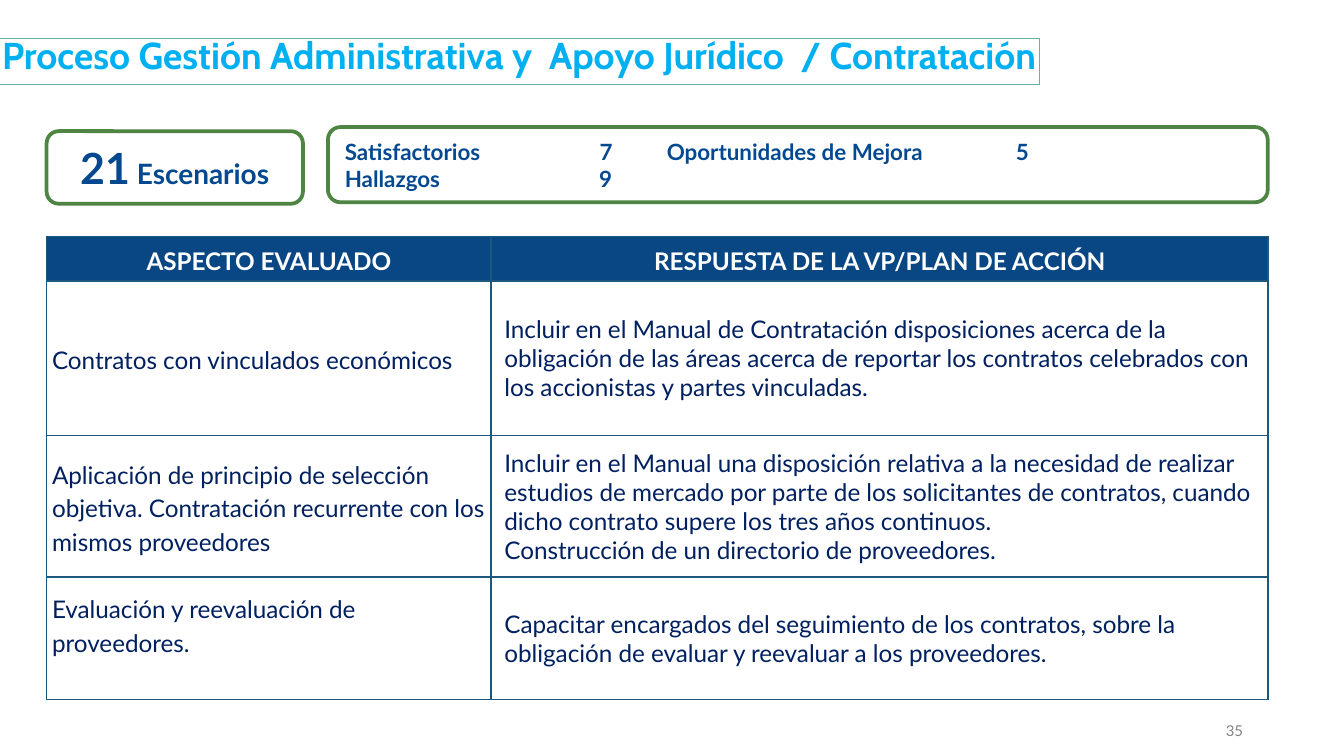
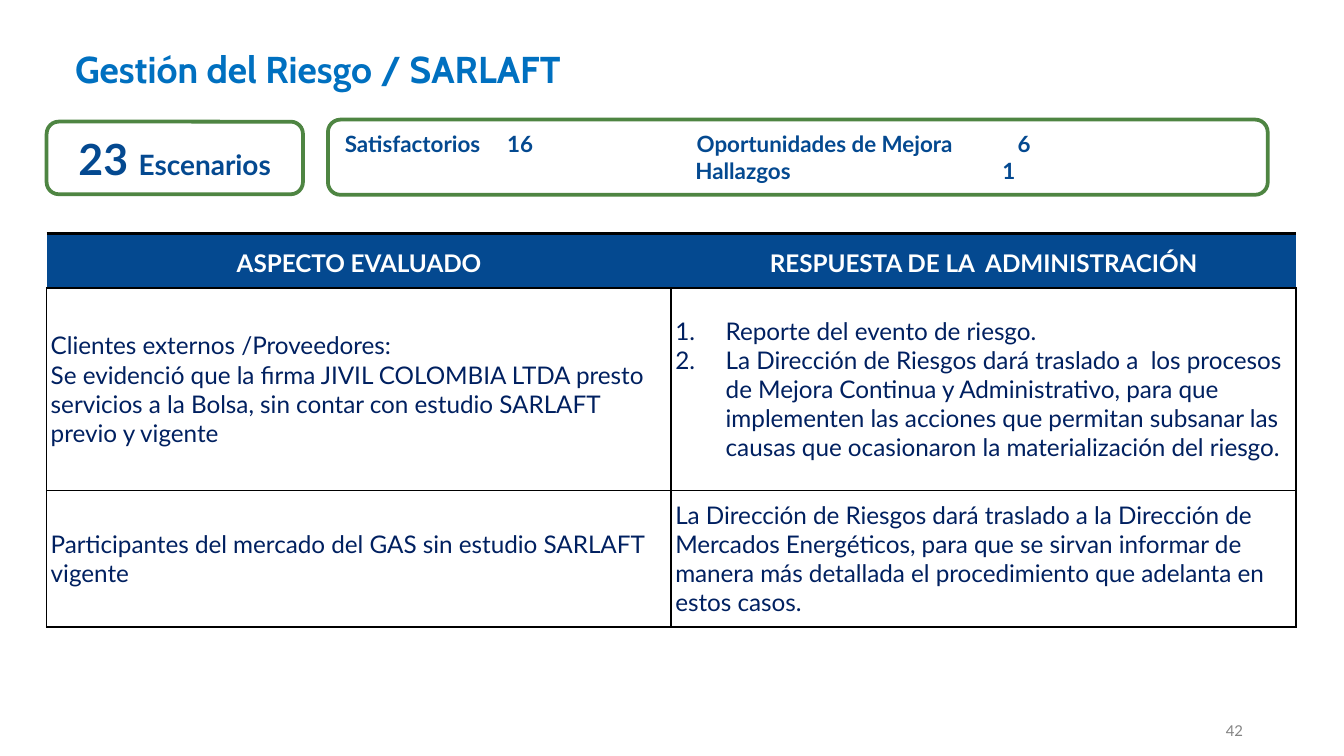
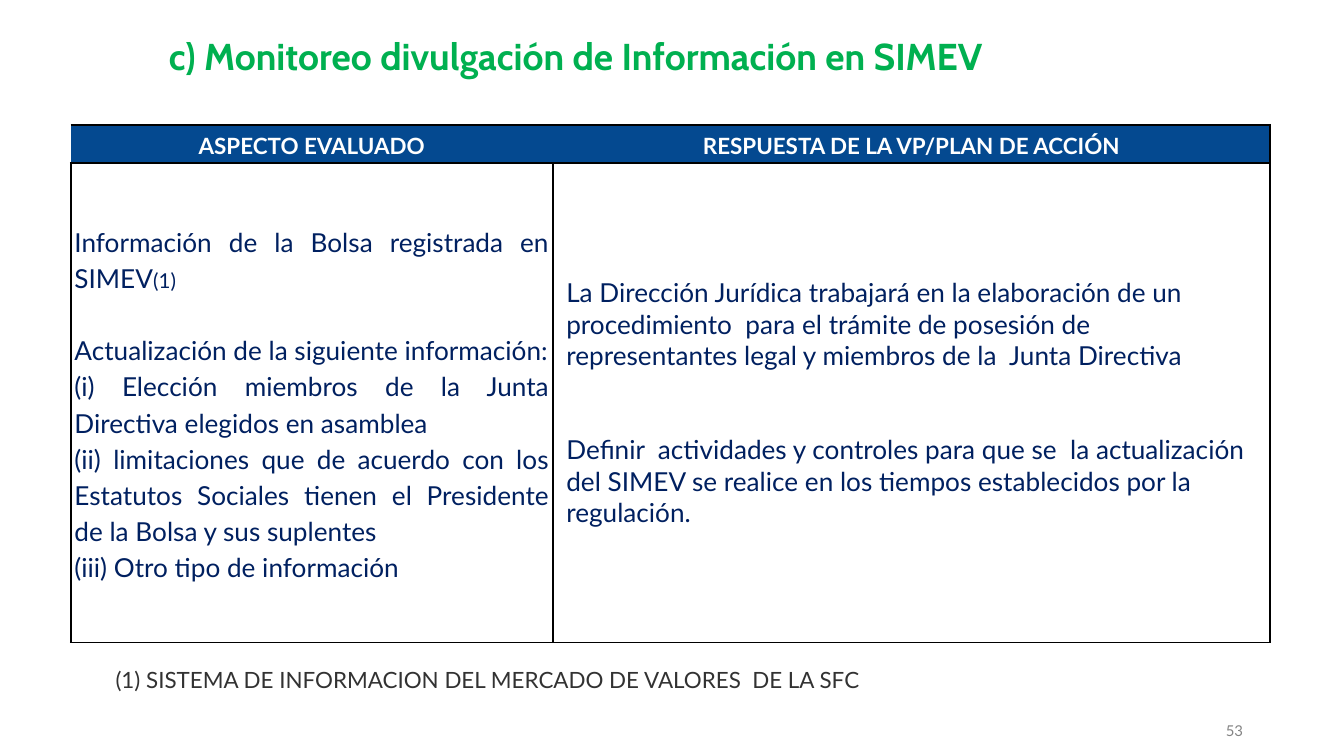
from lxml.etree import SubElement
from pptx import Presentation
from pptx.dml.color import RGBColor
from pptx.enum.shapes import MSO_SHAPE
from pptx.enum.text import MSO_ANCHOR, MSO_AUTO_SIZE, PP_ALIGN
from pptx.oxml.ns import qn
from pptx.util import Pt

NAVY, HEADER_BLUE, BODY_BLUE = "044990", "094784", "002060"
WHITE, BLACK, GREEN, TEAL = "FFFFFF", "000000", "4E8542", "1B587C"
TITLE_ONLY = 5
BADGE_LEFT, BADGE_WIDTH, BADGE_HEIGHT = 25, 137.3, 38.9
SUMMARY_LEFT, SUMMARY_WIDTH, SUMMARY_HEIGHT = 175.7, 503.5, 40.3
TIGHT = (2.2, 0.7)
SNUG = (2.9, 1.4)
ROOMY = (7.2, 3.6)
CENTERED = {"alignment": PP_ALIGN.CENTER}
LOOSE = {"line_spacing": 1.15}
HEADING = {**CENTERED, **LOOSE}


def color(value):
    return RGBColor.from_string(value)


def font(size, value, bold=False, name="Lato"):
    return {"name": name, "size": Pt(size), "bold": bold, "color": value}


def set_font(run, values):
    for key, value in values.items():
        if key == "color":
            run.font.color.rgb = color(value)
        else:
            setattr(run.font, key, value)


def set_margins(target, horizontal, top, bottom):
    margins = {"left": horizontal, "right": horizontal, "top": top, "bottom": bottom}
    for side, value in margins.items():
        setattr(target, f"margin_{side}", Pt(value))


def add_tabs(paragraph, stops):
    tab_list = SubElement(paragraph._p.get_or_add_pPr(), qn("a:tabLst"))
    for stop in stops:
        SubElement(tab_list, qn("a:tab"), pos=str(Pt(stop)), algn="l")


def add_number(paragraph):
    properties = paragraph._p.get_or_add_pPr()
    properties.set("marL", str(Pt(27)))
    properties.set("indent", str(Pt(-27)))
    SubElement(properties, qn("a:buAutoNum"), type="arabicPeriod")


def write(frame, paragraphs, base_font, layout=None, gaps=None, tabs=(), numbered=False):
    """Fill a frame; a paragraph is a string or a list of (text, size) runs.

    gaps maps a paragraph index to the space before it.
    """
    gaps = gaps or {}
    for index, content in enumerate(paragraphs):
        paragraph = frame.paragraphs[0] if index == 0 else frame.add_paragraph()
        if tabs:
            add_tabs(paragraph, tabs[index])
        if numbered:
            add_number(paragraph)
        values = {"space_before": Pt(gaps.get(index, 0)), **(layout or {})}
        for key, value in values.items():
            setattr(paragraph, key, value)
        runs = [(content, None)] if isinstance(content, str) else content
        for text, size in runs:
            run = paragraph.add_run()
            run.text = text
            set_font(run, {**base_font, "size": Pt(size)} if size else base_font)


def prepare_frame(shape, anchor=MSO_ANCHOR.TOP):
    frame = shape.text_frame
    values = {"word_wrap": True, "auto_size": MSO_AUTO_SIZE.NONE, "vertical_anchor": anchor}
    for key, value in values.items():
        setattr(frame, key, value)
    set_margins(frame, 0, 0, 0)
    return frame


def add_text(slide, box, text, base_font, layout, anchor=MSO_ANCHOR.TOP):
    shape = slide.shapes.add_textbox(*map(Pt, box))
    write(prepare_frame(shape, anchor), [text], base_font, layout)


def add_titled_slide(presentation, number, title, box, title_color,
                     alignment=PP_ALIGN.CENTER, anchor=MSO_ANCHOR.TOP):
    slide = presentation.slides.add_slide(presentation.slide_layouts[TITLE_ONLY])
    shape = slide.shapes.title
    for key, value in zip(("left", "top", "width", "height"), box):
        setattr(shape, key, Pt(value))
    write(prepare_frame(shape, anchor), [title], font(20, title_color, True, "Cabin"),
          {"alignment": alignment, "line_spacing": 0.85})
    add_text(slide, (643, 386.6, 23, 9.4), number, font(8, "848484"),
             {"alignment": PP_ALIGN.RIGHT}, MSO_ANCHOR.BOTTOM)
    return slide


def add_rounded_box(slide, *box):
    shape = slide.shapes.add_shape(MSO_SHAPE.ROUNDED_RECTANGLE, *map(Pt, box))
    shape.shadow.inherit = False
    shape.fill.solid()
    shape.fill.fore_color.rgb = color(WHITE)
    shape.line.color.rgb = color(GREEN)
    shape.line.width = Pt(2)
    frame = shape.text_frame
    frame.word_wrap = True
    frame.vertical_anchor = MSO_ANCHOR.MIDDLE
    return frame


def add_scenario_badge(slide, top, runs):
    frame = add_rounded_box(slide, BADGE_LEFT, top, BADGE_WIDTH, BADGE_HEIGHT)
    write(frame, [runs], font(15, NAVY, True), CENTERED)


def add_summary(slide, top, lines, tabs):
    frame = add_rounded_box(slide, SUMMARY_LEFT, top, SUMMARY_WIDTH, SUMMARY_HEIGHT)
    write(frame, lines, font(12, NAVY, True), {"alignment": PP_ALIGN.LEFT}, tabs=tabs)


def set_borders(cell, borders):
    """Draw the sides given as {side: (color, width)} and clear the others."""
    properties = cell._tc.get_or_add_tcPr()
    for side in "LRTB":
        value, width = borders.get(side, (None, 0))
        line = SubElement(properties, qn(f"a:ln{side}"), w=str(Pt(width)))
        if value:
            fill = SubElement(line, qn("a:solidFill"))
            SubElement(fill, qn("a:srgbClr"), val=value)
        else:
            SubElement(line, qn("a:noFill"))


def all_sides(value):
    return dict.fromkeys("LRTB", (value, 1))


def fill_cell(cell, paragraphs, base_font, margins, borders, fill=None,
              extra_bottom=0, **text_options):
    horizontal, vertical = margins
    set_margins(cell, horizontal, vertical, vertical + extra_bottom)
    cell.vertical_anchor = MSO_ANCHOR.MIDDLE
    set_borders(cell, borders)
    if fill:
        cell.fill.solid()
        cell.fill.fore_color.rgb = color(fill)
    else:
        cell.fill.background()
    write(cell.text_frame, paragraphs, base_font, **text_options)


def add_grid(slide, left, top, widths, heights):
    table = slide.shapes.add_table(len(heights), len(widths), Pt(left), Pt(top),
                                   Pt(sum(widths)), Pt(sum(heights))).table
    for column, width in zip(table.columns, widths):
        column.width = Pt(width)
    for row, height in zip(table.rows, heights):
        row.height = Pt(height)
    return table


def fill_header(table, headings, size, margins, borders, fill):
    for column, heading in enumerate(headings):
        fill_cell(table.cell(0, column), [heading], font(size, WHITE, True), margins,
                  borders[column], fill, layout=HEADING)


def add_contracting_slide(presentation):
    slide = add_titled_slide(
        presentation, "35", "Proceso Gestión Administrativa y  Apoyo Jurídico  / Contratación",
        (-0.5, 20.7, 557.5, 24.5), "00B0F0")
    slide.shapes.title.line.color.rgb = color("66B1A0")
    slide.shapes.title.line.width = Pt(0.75)
    add_scenario_badge(slide, 70.3, [("21", 23), (" Escenarios", 15)])
    add_summary(slide, 68.1,
                ["Satisfactorios\t7\tOportunidades de Mejora\t5", "Hallazgos\t9"],
                [(136.5, 172.5, 359.5), (136.2,)])

    table = add_grid(slide, 25, 126.7, (238, 416.4), (23.8, 82.8, 75.9, 65.7))
    borders = all_sides(TEAL)
    fill_header(table, ("ASPECTO EVALUADO", "RESPUESTA DE LA VP/PLAN DE ACCIÓN"),
                13, SNUG, (borders, borders), HEADER_BLUE)
    rows = [
        ("Contratos con vinculados económicos",
         ["Incluir en el Manual de Contratación disposiciones acerca de la obligación de las "
          "áreas acerca de reportar los contratos celebrados con los accionistas y partes "
          "vinculadas."], 0),
        ("Aplicación de principio de selección objetiva. Contratación recurrente con los "
         "mismos proveedores",
         ["Incluir en el Manual una disposición relativa a la necesidad de realizar estudios "
          "de mercado por parte de los solicitantes de contratos, cuando dicho contrato "
          "supere los tres años continuos.",
          "Construcción de un directorio de proveedores."], 0),
        ("Evaluación y reevaluación de proveedores.",
         ["Capacitar encargados del seguimiento de los contratos, sobre la obligación de "
          "evaluar y reevaluar a los proveedores."], 15.6),
    ]
    body = font(13, BODY_BLUE)
    for row, (aspect, response, extra_bottom) in enumerate(rows, 1):
        fill_cell(table.cell(row, 0), [aspect], body, SNUG, borders,
                  extra_bottom=extra_bottom, layout=LOOSE)
        fill_cell(table.cell(row, 1), response, body, ROOMY, borders)


def add_risk_slide(presentation):
    slide = add_titled_slide(presentation, "42", "Gestión del Riesgo / SARLAFT",
                             (40.2, 28.5, 504.7, 25.2), "0070C0", PP_ALIGN.LEFT)
    add_scenario_badge(slide, 65.2, [("23 ", 23), ("Escenarios", 15)])
    add_summary(slide, 64.1,
                ["Satisfactorios\t16\tOportunidades de Mejora\t6", "\tHallazgos\t1"],
                [(87, 188.5, 360.5), (187.8, 352.3)])

    table = add_grid(slide, 25, 125.1, (334.6, 334.6), (29.2, 108.4, 73.2))
    header_borders = {"T": (BLACK, 1.5), "B": (BLACK, 1)}
    fill_header(table, ("ASPECTO EVALUADO", "RESPUESTA DE LA  ADMINISTRACIÓN"),
                13, TIGHT, (header_borders, header_borders), NAVY)
    rows = [
        (["Clientes externos /Proveedores:",
          "Se evidenció que la firma JIVIL COLOMBIA LTDA presto servicios a la Bolsa, sin "
          "contar con estudio SARLAFT previo y vigente"],
         ["Reporte del evento de riesgo.",
          "La Dirección de Riesgos dará traslado a  los procesos de Mejora Continua y "
          "Administrativo, para que implementen las acciones que permitan subsanar las "
          "causas que ocasionaron la materialización del riesgo."], True),
        (["Participantes del mercado del GAS sin estudio SARLAFT vigente"],
         ["La Dirección de Riesgos dará traslado a la Dirección de Mercados Energéticos, para "
          "que se sirvan informar de manera más detallada el procedimiento que adelanta en "
          "estos casos."], False),
    ]
    body = font(13, BODY_BLUE)
    borders = all_sides(BLACK)
    for row, (aspect, response, numbered) in enumerate(rows, 1):
        fill_cell(table.cell(row, 0), aspect, body, TIGHT, borders)
        fill_cell(table.cell(row, 1), response, body, TIGHT, borders, numbered=numbered)


def add_disclosure_slide(presentation):
    slide = add_titled_slide(
        presentation, "53", "c) Monitoreo divulgación de Información en SIMEV",
        (41.8, 14.4, 533.5, 34.6), "00B050", anchor=MSO_ANCHOR.MIDDLE)

    table = add_grid(slide, 37.9, 67, (258.3, 384.3), (20.2, 257))
    header_borders = {"T": (BLACK, 1.5), "B": (BLACK, 1)}
    fill_header(table, ("ASPECTO EVALUADO", "RESPUESTA DE LA VP/PLAN DE ACCIÓN"), 12, TIGHT,
                (header_borders, {**header_borders, "R": (BLACK, 1.5)}), NAVY)
    body = font(14, BODY_BLUE)
    borders = all_sides(BLACK)
    aspects = [
        [("Información de la Bolsa registrada en SIMEV", 14), ("(1)", 11)],
        "Actualización de la siguiente información:",
        "(i) Elección miembros de la Junta Directiva elegidos en asamblea",
        "(ii) limitaciones que de acuerdo con los Estatutos Sociales tienen el Presidente "
        "de la Bolsa y sus suplentes",
        "(iii) Otro tipo de información",
    ]
    fill_cell(table.cell(1, 0), aspects, body, (2, 0.7), borders,
              layout={"alignment": PP_ALIGN.JUSTIFY, **LOOSE}, gaps={1: 19.3})
    responses = [
        "La Dirección Jurídica trabajará en la elaboración de un procedimiento  para el "
        "trámite de posesión de representantes legal y miembros de la  Junta Directiva",
        "Definir  actividades y controles para que se  la actualización del SIMEV se realice "
        "en los tiempos establecidos por la",
        "regulación.",
    ]
    fill_cell(table.cell(1, 1), responses, body, (7.2, 2.9), borders, gaps={1: 33.6})
    add_text(slide, (61.9, 354.2, 419.8, 17.3),
             "(1) SISTEMA DE INFORMACION DEL MERCADO DE VALORES  DE LA SFC",
             font(12, "323232"), {"line_spacing": 1.2})


def main():
    presentation = Presentation()
    presentation.slide_width = Pt(720)
    presentation.slide_height = Pt(405)
    add_contracting_slide(presentation)
    add_risk_slide(presentation)
    add_disclosure_slide(presentation)
    presentation.save("out.pptx")


if __name__ == "__main__":
    main()
